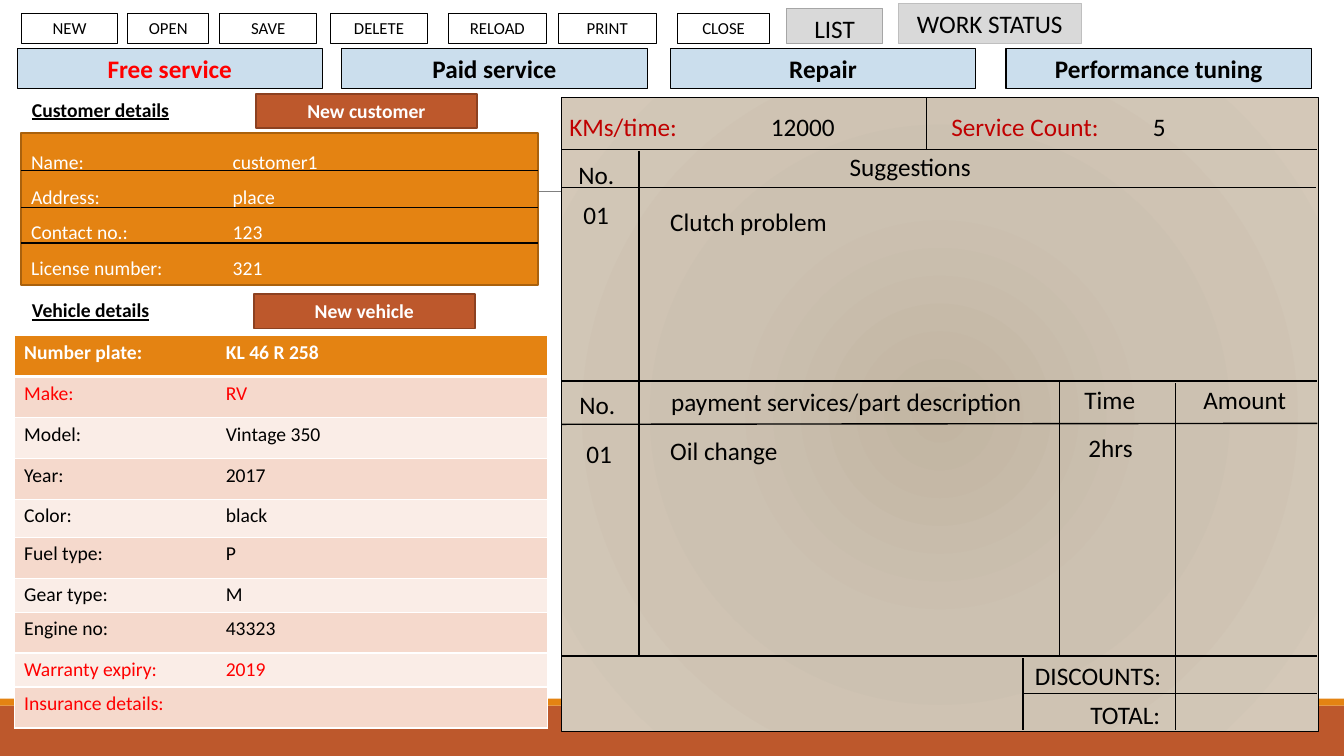
from lxml.etree import SubElement
from pptx import Presentation
from pptx.dml.color import RGBColor
from pptx.enum.shapes import MSO_CONNECTOR, MSO_SHAPE
from pptx.enum.text import MSO_ANCHOR, PP_ALIGN
from pptx.oxml.ns import qn
from pptx.util import Pt

COLORS = {
    "black": "000000", "white": "FFFFFF", "red": "FF0000", "crimson": "C00000",
    "rust": "BD582C", "rust_edge": "8C4121", "orange": "E48312", "orange_edge": "A9610D",
    "sky": "CBDEED", "silver": "D9D9D9", "grey": "A6A6A6", "light_grey": "BFBFBF",
    "rule": "808080", "rose": "F5D9CC", "blush": "FAEDE7",
    "sand_in": "C2B5A2", "sand_mid": "CCC1B1", "sand_out": "D4C8B8",
}
TOOLBAR = [("NEW", 15.1, 69.1), ("OPEN", 91.4, 57.6), ("SAVE", 157, 69.1),
           ("DELETE", 236.2, 69.1), ("RELOAD", 320.4, 69.8), ("PRINT", 398.9, 69.8),
           ("CLOSE", 483.8, 66.2)]
STATUS_BUTTONS = [("LIST", 561.6, 5.8, 69.1, 25.2, "grey"),
                  ("WORK STATUS", 641.5, 2.2, 131, 28.8, "light_grey")]
SERVICES = [("Free service", 12.2, "red"), ("Paid service", 244.1, "black"),
            ("Repair", 478.8, "black"), ("Performance tuning", 718.6, "black")]
NEW_BUTTONS = [("New customer", 182.9, 67), ("New vehicle", 181.4, 210.2)]
HEADINGS = [("Customer details", 66.2), ("Vehicle details", 209.5)]
CUSTOMER = ["Name:\tcustomer1", "Address:\tplace", "Contact no.:\t123",
            "License number:\t321"]
VEHICLE = [("Number plate:\tKL 46 R 258", 29.2, "white"), ("Make:\tRV", 29.2, "red"),
           ("Model:\tVintage 350", 29.2, "black"), ("Year:\t2017", 29.2, "black"),
           ("Color:\tblack", 27.2, "black"), ("Fuel type:\tP", 29.2, "black"),
           ("Gear type:\tM", 24.3, "black"), ("Engine no:\t43323", 29.2, "black"),
           ("Warranty expiry:\t2019", 24.3, "red"), ("Insurance details:", 29.2, "red")]
CUSTOMER_RULES = [121.7, 148.3, 173.5]
JOB_RULES = [(401, 106.6, 941, 106.6), (661.7, 69.8, 661.7, 106.6),
             (401.8, 272.2, 941, 272.2), (401, 133.9, 940.3, 133.9),
             (456.5, 108, 456.5, 469.4), (401, 303.1, 941, 302.4),
             (839.5, 273.6, 839.5, 521.3), (401, 468.7, 941, 468.7),
             (730.8, 470.2, 730.8, 521.3), (730.8, 495.4, 941, 495.4),
             (756.7, 272.9, 756.7, 469.4)]
READINGS = [("KMs/time:", "\t12000", 399.6, 208.8), ("Service Count:", "\t5", 672.5, 195.1)]
JOB_LABELS = [("Suggestions", 599.8, 104.4, 116.6), ("No.", 406.1, 110.2, 46.8),
              ("No.", 406.8, 274.3, 47.5),
              ("payment services/part description", 472.3, 272.2, 267.8),
              ("Amount", 852.5, 270.7, 74.2), ("TOTAL:", 771.8, 496.1, 75.6),
              ("DISCOUNTS:", 732.2, 468, 128.2), ("Clutch problem", 471.6, 144, 198),
              ("01", 409.7, 139, 35.3), ("01", 411.8, 309.6, 35.3),
              ("Oil change", 471.6, 307.4, 185.8), ("Time", 767.5, 270.7, 72.7),
              ("2hrs", 770.4, 305.3, 51.1)]
JOB_PANEL = (401, 69.8, 540.7, 452.9)
VALUE_TAB = 144
FRAME = {"word_wrap": True, "vertical_anchor": MSO_ANCHOR.TOP}


def rgb(name):
    return RGBColor.from_string(COLORS[name])


def add_run(p, text, size, color, **fmt):
    r = p.add_run()
    r.text = text
    for key, value in {"name": "Calibri", "size": Pt(size), **fmt}.items():
        setattr(r.font, key, value)
    r.font.color.rgb = rgb(color)


def add_tab(p):
    tabs = SubElement(p._p.get_or_add_pPr(), qn("a:tabLst"))
    SubElement(tabs, qn("a:tab"), pos=str(Pt(VALUE_TAB)), algn="l")


def set_frame(tf):
    for key, value in FRAME.items():
        setattr(tf, key, value)
    return tf


def add_box(s, at, fill=None, line=None, width=0.75):
    sp = s.shapes.add_shape(MSO_SHAPE.RECTANGLE, *map(Pt, at))
    sp.shadow.inherit = False
    if fill:
        sp.fill.solid()
        sp.fill.fore_color.rgb = rgb(fill)
    else:
        sp.fill.background()
    if line:
        sp.line.color.rgb = rgb(line)
        sp.line.width = Pt(width)
    else:
        sp.line.fill.background()
    return sp


def add_button(s, text, at, size, color, fill=None, line="black", width=0.75, **fmt):
    p = set_frame(add_box(s, at, fill, line, width).text_frame).paragraphs[0]
    p.alignment = PP_ALIGN.CENTER
    add_run(p, text, size, color, **fmt)


def add_line(s, ends, color="black", width=1):
    ln = s.shapes.add_connector(MSO_CONNECTOR.STRAIGHT, *map(Pt, ends))
    ln.line.color.rgb = rgb(color)
    ln.line.width = Pt(width)
    SubElement(ln._element.spPr, qn("a:effectLst"))


def add_label(s, text, left, top, width, size=18, color="black", **fmt):
    sp = s.shapes.add_textbox(*map(Pt, (left, top, width, size * 1.22 + 7.2)))
    p = set_frame(sp.text_frame).paragraphs[0]
    add_run(p, text, size, color, **fmt)
    return p


def add_customer(s):
    sp = add_box(s, (15.1, 95, 369.4, 108.7), "orange", "orange_edge", 1.25)
    tf = set_frame(sp.text_frame)
    for i, text in enumerate(CUSTOMER):
        p = tf.add_paragraph() if i else tf.paragraphs[0]
        p.alignment = PP_ALIGN.LEFT
        p.line_spacing = 1.5
        add_tab(p)
        add_run(p, text, 14, "white")
    for y in CUSTOMER_RULES:
        add_line(s, (14.8, y, 384, y))


def set_borders(cell, header_edges):
    tcPr = cell._tc.get_or_add_tcPr()
    for i, side in enumerate(("lnL", "lnR", "lnT", "lnB")):
        width = 3 if side in header_edges else 1
        ln = tcPr.makeelement(qn(f"a:{side}"), {"w": str(Pt(width))})
        tcPr.insert(i, ln)
        SubElement(SubElement(ln, qn("a:solidFill")), qn("a:srgbClr"), val=COLORS["white"])


def add_vehicle(s):
    height = sum(row[1] for row in VEHICLE)
    tbl = s.shapes.add_table(len(VEHICLE), 1, *map(Pt, (10.1, 239.8, 380.9, height))).table
    for i, (text, row_height, color) in enumerate(VEHICLE):
        tbl.rows[i].height = Pt(row_height)
        cell = tbl.cell(i, 0)
        cell.fill.solid()
        cell.fill.fore_color.rgb = rgb("orange" if i == 0 else ("blush", "rose")[i % 2])
        set_borders(cell, {0: ("lnB",), 1: ("lnT",)}.get(i, ()))
        p = cell.text_frame.paragraphs[0]
        add_tab(p)
        add_run(p, text, 14, color, bold=i == 0)


def add_job_panel(s):
    sp = add_box(s, JOB_PANEL, "sand_mid", "black", 1)
    spPr = sp._element.spPr
    solid = spPr.find(qn("a:solidFill"))
    grad = spPr.makeelement(qn("a:gradFill"), {"rotWithShape": "1"})
    spPr.replace(solid, grad)
    stops = SubElement(grad, qn("a:gsLst"))
    for pos, name in ((0, "sand_in"), (45, "sand_mid"), (100, "sand_out")):
        gs = SubElement(stops, qn("a:gs"), pos=str(pos * 1000))
        SubElement(gs, qn("a:srgbClr"), val=COLORS[name])
    radial = SubElement(grad, qn("a:path"), {"path": "circle"})
    SubElement(radial, qn("a:fillToRect"), dict.fromkeys("ltrb", "100000"))
    for ends in JOB_RULES:
        add_line(s, ends)
    for name, value, left, width in READINGS:
        p = add_label(s, name, left, 75.6, width, color="crimson")
        add_tab(p)
        add_run(p, value, 18, "black")
    for label in JOB_LABELS:
        add_label(s, *label)


def main():
    """Build the service job card slide."""
    prs = Presentation()
    prs.slide_width, prs.slide_height = Pt(960), Pt(540)
    s = prs.slides.add_slide(prs.slide_layouts[6])
    add_box(s, (0, 504, 960, 36), "rust")
    add_box(s, (0, 499, 960, 5), "orange")
    add_line(s, (94.3, 136.8, 879.1, 136.8), "rule", 0.5)
    for text, top in HEADINGS:
        add_label(s, text, 15.8, top, 160, 14, bold=True, underline=True)
    add_customer(s)
    add_vehicle(s)
    add_job_panel(s)
    for text, left, top in NEW_BUTTONS:
        add_button(s, text, (left, top, 157.7, 24.5), 14, "white",
                   "rust", "rust_edge", 1.25, bold=True)
    for text, left, color in SERVICES:
        add_button(s, text, (left, 34.6, 218.2, 28.8), 18, color, "sky", bold=True)
    for text, left, width in TOOLBAR:
        add_button(s, text, (left, 9.4, width, 21.8), 12, "black")
    for text, *at, line in STATUS_BUTTONS:
        add_button(s, text, at, 18, "black", "silver", line)
    prs.save("out.pptx")


if __name__ == "__main__":
    main()
